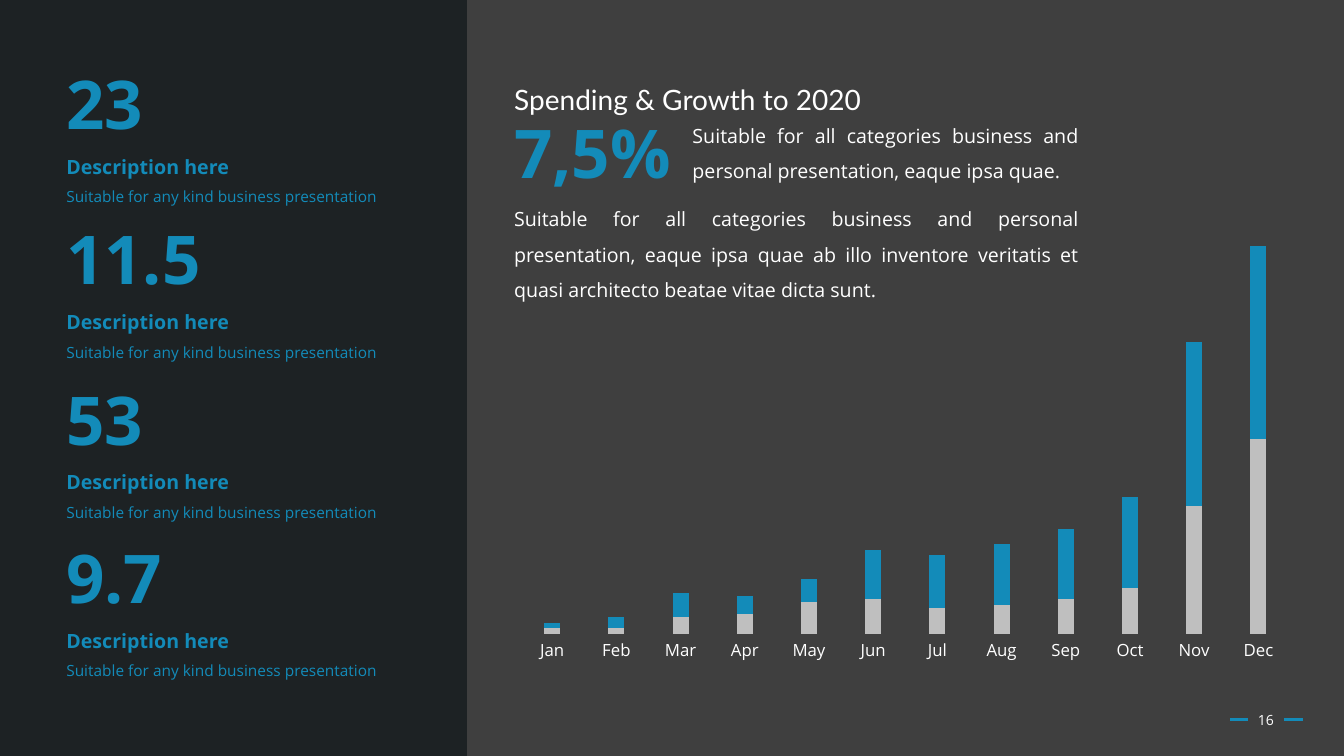
from dataclasses import dataclass

from lxml.etree import SubElement
from pptx import Presentation
from pptx.chart.data import CategoryChartData
from pptx.dml.color import RGBColor
from pptx.enum.chart import XL_CHART_TYPE, XL_TICK_MARK
from pptx.enum.shapes import MSO_CONNECTOR, MSO_SHAPE
from pptx.enum.text import MSO_ANCHOR, MSO_AUTO_SIZE, PP_ALIGN
from pptx.oxml import parse_xml
from pptx.oxml.ns import nsdecls, qn
from pptx.util import Inches, Pt

BLUE, WHITE, GREY = "138BB9", "FFFFFF", "BFBFBF"
BACKGROUND, PANEL = "3F3F3F", "181E20"
FONT, TITLE_FONT = "Open Sans", "Lato"


@dataclass(frozen=True)
class Box:
    left: float
    top: float
    width: float
    height: float

    def lengths(self):
        return [Inches(v) for v in (self.left, self.top, self.width, self.height)]


@dataclass(frozen=True)
class Figure:
    value: str
    top: float


@dataclass(frozen=True)
class Series:
    name: str
    values: tuple[int, ...]
    color: str


FIGURES = [Figure("23", 0.57), Figure("11.5", 2.11), Figure("53", 3.7), Figure("9.7", 5.27)]
MONTHS = "Jan Feb Mar Apr May Jun Jul Aug Sep Oct Nov Dec".split()
SERIES = [
    Series("Series 1", (2, 2, 6, 7, 11, 12, 9, 10, 12, 16, 44, 67), GREY),
    Series("Series 2", (2, 4, 8, 6, 8, 17, 18, 21, 24, 31, 56, 100), BLUE),
]


def rgb(color: str) -> RGBColor:
    return RGBColor.from_string(color)


def write(p, text: str, size: float = 14, color: str = WHITE, bold: bool = False,
          font: str = FONT, align=PP_ALIGN.LEFT, spacing: float = 1.0) -> None:
    p.alignment, p.line_spacing = align, spacing
    r = p.add_run()
    r.text = text
    r.font.size, r.font.name, r.font.bold = Pt(size), font, bold
    r.font.color.rgb = rgb(color)


def add_box(slide, box: Box, wrap: bool = True):
    tf = slide.shapes.add_textbox(*box.lengths()).text_frame
    tf.word_wrap = wrap
    tf.auto_size = MSO_AUTO_SIZE.SHAPE_TO_FIT_TEXT
    return tf


def add_title(slide, text: str) -> None:
    sp = slide.shapes.title
    sp.left, sp.top, sp.width, sp.height = Box(5, 0.6, 5.72, 0.55).lengths()
    tf = sp.text_frame
    tf.vertical_anchor = MSO_ANCHOR.TOP
    tf.word_wrap = True
    tf.auto_size = MSO_AUTO_SIZE.SHAPE_TO_FIT_TEXT
    write(tf.paragraphs[0], text, size=20, font=TITLE_FONT,
          align=PP_ALIGN.JUSTIFY, spacing=1.5)


def add_panel(slide) -> None:
    sp = slide.shapes.add_shape(MSO_SHAPE.RECTANGLE, *Box(-0.01, 0, 4.64, 7.5).lengths())
    sp.shadow.inherit = False
    sp.line.fill.background()
    sp.fill.solid()
    sp.fill.fore_color.rgb = rgb(PANEL)
    color = sp.fill._xPr.find(".//" + qn("a:srgbClr"))
    SubElement(color, qn("a:alpha"), val="85000")


def add_dash(slide, left: float) -> None:
    y = Inches(7.14)
    line = slide.shapes.add_connector(
        MSO_CONNECTOR.STRAIGHT, Inches(left), y, Inches(left + 0.18), y)
    line.line.color.rgb = rgb(BLUE)
    line.line.width = Pt(1.75)
    SubElement(line._element.spPr, qn("a:effectLst"))


def add_page_number(slide, number: str) -> None:
    for left in (12.2, 12.74):
        add_dash(slide, left)
    tf = add_box(slide, Box(12.26, 6.94, 0.59, 0.4))
    tf.auto_size = MSO_AUTO_SIZE.NONE
    tf.vertical_anchor = MSO_ANCHOR.MIDDLE
    write(tf.paragraphs[0], number, size=10, align=PP_ALIGN.CENTER)


def add_figure(slide, figure: Figure) -> None:
    tf = add_box(slide, Box(0.56, figure.top, 3.3, 1.54), wrap=False)
    write(tf.paragraphs[0], figure.value, size=48, color=BLUE, bold=True)
    write(tf.add_paragraph(), "Description here", color=BLUE, bold=True, spacing=1.5)
    write(tf.add_paragraph(), "Suitable for any kind business presentation",
          size=11, color=BLUE, spacing=1.5)


def place_plot(chart, box: Box) -> None:
    """Fix the inner plot area, in fractions of the chart."""
    area = chart._chartSpace.chart.plotArea
    for old in area.findall(qn("c:layout")):
        area.remove(old)
    area.insert(0, parse_xml(
        f'<c:layout {nsdecls("c")}><c:manualLayout><c:layoutTarget val="inner"/>'
        '<c:xMode val="edge"/><c:yMode val="edge"/>'
        f'<c:x val="{box.left}"/><c:y val="{box.top}"/>'
        f'<c:w val="{box.width}"/><c:h val="{box.height}"/>'
        '</c:manualLayout></c:layout>'))


def add_spending_chart(slide) -> None:
    data = CategoryChartData()
    data.categories = MONTHS
    for series in SERIES:
        data.add_series(series.name, series.values)
    chart = slide.shapes.add_chart(
        XL_CHART_TYPE.COLUMN_STACKED, *Box(4.58, 1.77, 8.27, 5.36).lengths(), data).chart
    chart.has_title = chart.has_legend = False
    chart.font.size, chart.font.name = Pt(12), FONT
    chart.font.color.rgb = rgb(WHITE)

    plot = chart.plots[0]
    plot.gap_width, plot.overlap, plot.vary_by_categories = 300, 100, False
    for drawn, series in zip(plot.series, SERIES):
        drawn.format.fill.solid()
        drawn.format.fill.fore_color.rgb = rgb(series.color)

    months, amounts = chart.category_axis, chart.value_axis
    months.major_tick_mark = months.minor_tick_mark = XL_TICK_MARK.NONE
    months.format.line.fill.background()
    amounts.minimum_scale, amounts.maximum_scale = 0, 133
    amounts.has_major_gridlines = amounts.visible = False
    place_plot(chart, Box(0.07, 0.125, 0.924, 0.719))


def add_body(slide, box: Box, text: str) -> None:
    write(add_box(slide, box).paragraphs[0], text, align=PP_ALIGN.JUSTIFY, spacing=1.5)


def main() -> None:
    prs = Presentation()
    prs.slide_width, prs.slide_height = Inches(13.33), Inches(7.5)
    slide = prs.slides.add_slide(prs.slide_layouts[5])
    slide.background.fill.solid()
    slide.background.fill.fore_color.rgb = rgb(BACKGROUND)

    add_panel(slide)
    add_page_number(slide, "16")
    add_spending_chart(slide)
    for figure in FIGURES:
        add_figure(slide, figure)

    add_title(slide, "Spending & Growth to 2020")
    growth = add_box(slide, Box(5, 1.06, 1.77, 0.91), wrap=False)
    write(growth.paragraphs[0], "7,5%", size=48, color=BLUE, bold=True)
    add_body(slide, Box(6.77, 1.06, 4.03, 0.81),
             "Suitable for all categories business and personal presentation, "
             "eaque ipsa quae.")
    add_body(slide, Box(5, 1.89, 5.8, 1.16),
             "Suitable for all categories business and personal presentation, "
             "eaque ipsa quae ab illo inventore veritatis et quasi architecto "
             "beatae vitae dicta sunt.")
    prs.save("out.pptx")


if __name__ == "__main__":
    main()
